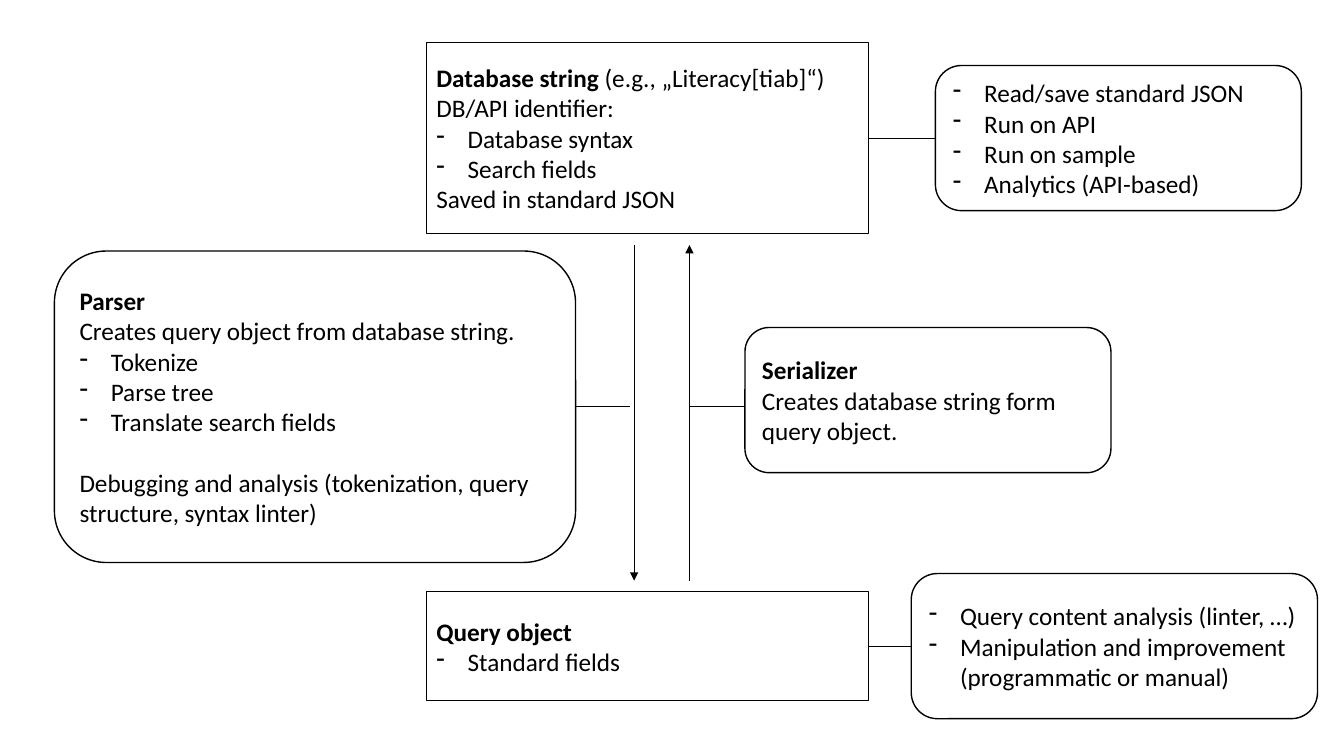
from dataclasses import dataclass

from lxml import etree
from pptx import Presentation
from pptx.dml.color import RGBColor
from pptx.enum.shapes import MSO_CONNECTOR as Connector
from pptx.enum.shapes import MSO_SHAPE as Shape
from pptx.enum.text import MSO_ANCHOR as Anchor
from pptx.enum.text import PP_ALIGN as Align
from pptx.oxml.ns import qn
from pptx.util import Inches, Pt

COLORS = {"ink": "000000", "paper": "FFFFFF"}
FONT, TEXT_SIZE, LINE_SPACE = "Calibri", Pt(18), Pt(22)
BULLET_INDENT = Inches(0.31)
SLIDE_WIDTH, SLIDE_HEIGHT = Inches(13.33), Inches(7.5)
LEFT, RIGHT = 1, 3


def across(percent):
    return round(SLIDE_WIDTH * percent / 100)


def down(percent):
    return round(SLIDE_HEIGHT * percent / 100)


@dataclass
class Box:
    """A rectangle in percent of the slide's width and height."""
    left: float
    top: float
    width: float
    height: float

    @property
    def right(self):
        return self.left + self.width

    @property
    def bottom(self):
        return self.top + self.height

    @property
    def middle(self):
        return self.top + self.height / 2

    def beside(self, left, width, height):
        """A box at the given left edge, centred on this one's height."""
        return Box(left, self.middle - height / 2, width, height)


def color(name):
    return RGBColor.from_string(COLORS[name])


def add_bullet(para):
    props = para._p.get_or_add_pPr()
    props.set("marL", str(BULLET_INDENT))
    props.set("indent", str(-BULLET_INDENT))
    etree.SubElement(props, qn("a:buChar")).set("char", "-")


def write_lines(frame, heading, remark, lines, gap_before):
    """Bold heading with a plain remark, then lines; "- " marks a bullet."""
    texts = ([heading] if heading else []) + lines
    for index, text in enumerate(texts):
        para = frame.paragraphs[0] if index == 0 else frame.add_paragraph()
        para.text = text.removeprefix("- ")
        para.alignment = Align.LEFT
        if text == heading:
            para.runs[0].font.bold = True
            if remark:
                para.add_run().text = remark
        if text == gap_before:
            para.space_before = LINE_SPACE
        if text.startswith("- "):
            add_bullet(para)
        for span in para.runs:
            span.font.name, span.font.size = FONT, TEXT_SIZE
            span.font.color.rgb = color("ink")


def add_panel(page, box, lines, heading="", remark="", gap_before=None,
              kind=Shape.ROUNDED_RECTANGLE, corner=None):
    panel = page.shapes.add_shape(kind, across(box.left), down(box.top),
                                  across(box.width), down(box.height))
    panel.shadow.inherit = False
    if corner:
        panel.adjustments[0] = corner
    panel.fill.solid()
    panel.fill.fore_color.rgb = color("paper")
    panel.line.color.rgb = color("ink")
    panel.line.width = Pt(1)
    panel.text_frame.word_wrap = True
    panel.text_frame.vertical_anchor = Anchor.MIDDLE
    write_lines(panel.text_frame, heading, remark, lines, gap_before)
    return panel


def add_line(page, start, end, arrow=False):
    line = page.shapes.add_connector(Connector.STRAIGHT,
                                     across(start[0]), down(start[1]),
                                     across(end[0]), down(end[1]))
    line.line.color.rgb = color("ink")
    line.line.width = Pt(0.5)
    if arrow:
        outline = line.line._get_or_add_ln()
        etree.SubElement(outline, qn("a:tailEnd")).set("type", "triangle")
    etree.SubElement(line._element.spPr, qn("a:effectLst"))
    return line


def add_stage(page, box, actions_box, stage, actions):
    """A square-cornered stage joined to the rounded list of its actions."""
    stage_panel = add_panel(page, box, kind=Shape.RECTANGLE, **stage)
    actions_panel = add_panel(page, actions_box, actions, corner=0.18)
    link = add_line(page, (box.right, box.middle),
                    (actions_box.left, box.middle))
    link.begin_connect(stage_panel, RIGHT)
    link.end_connect(actions_panel, LEFT)


def add_parser(page, box, arrow_x, arrow_top, arrow_bottom):
    analysis = ("Debugging and analysis (tokenization, query structure, "
                "syntax linter)")
    panel = add_panel(
        page, box, heading="Parser", gap_before=analysis,
        lines=["Creates query object from database string.", "- Tokenize",
               "- Parse tree", "- Translate search fields", analysis])
    add_line(page, (arrow_x, arrow_top), (arrow_x, arrow_bottom), arrow=True)
    link = add_line(page, (box.right, box.middle), (arrow_x - 0.3, box.middle))
    link.begin_connect(panel, RIGHT)


def add_serializer(page, box, arrow_x, arrow_top, arrow_bottom, link_y):
    add_panel(page, box, heading="Serializer",
              lines=["Creates database string form query object."])
    add_line(page, (arrow_x, arrow_bottom), (arrow_x, arrow_top), arrow=True)
    add_line(page, (arrow_x, link_y), (box.left, link_y))


def main():
    deck = Presentation()
    deck.slide_width, deck.slide_height = SLIDE_WIDTH, SLIDE_HEIGHT
    page = deck.slides.add_slide(deck.slide_layouts[6])

    database = Box(31.73, 5.6, 32.9, 25.33)
    query = Box(database.left, 78.27, database.width, 14.4)
    parser = Box(4.05, 33.2, 38.78, 41.2)
    serializer = Box(55.43, 43.33, 27.23, 19.2)
    arrow_top, arrow_bottom = database.bottom + 1.47, query.top - 1.47

    add_stage(
        page, database,
        database.beside(69.6, serializer.width, serializer.height),
        stage={"heading": "Database string ",
               "remark": "(e.g., „Literacy[tiab]“)",
               "lines": ["DB/API identifier:", "- Database syntax",
                         "- Search fields", "Saved in standard JSON"]},
        actions=["- Read/save standard JSON", "- Run on API",
                 "- Run on sample", "- Analytics (API-based)"])
    add_stage(
        page, query, query.beside(67.8, 30.23, serializer.height),
        stage={"heading": "Query object", "lines": ["- Standard fields"]},
        actions=["- Query content analysis (linter, …)",
                 "- Manipulation and improvement (programmatic or manual)"])
    add_parser(page, parser, 47.18, arrow_top, arrow_bottom)
    add_serializer(page, serializer, 51.3, arrow_top, arrow_bottom,
                   parser.middle)
    deck.save("out.pptx")


if __name__ == "__main__":
    main()
